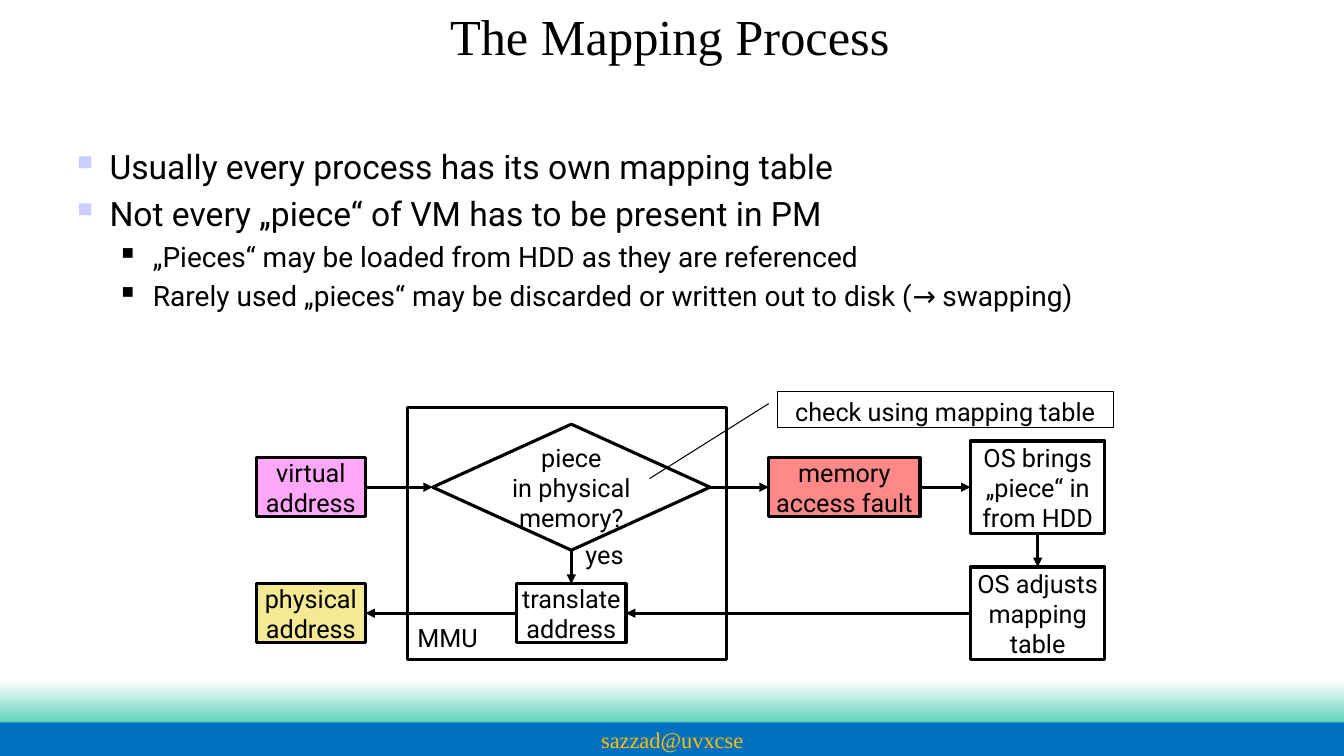
import pptx
import pptx.util
import pptx.dml.color
import pptx.enum.shapes
import pptx.enum.text
import pptx.oxml.ns
import lxml.etree

INK = {"black": "000000", "white": "FFFFFF", "pink": "FFA7F9", "red": "FF8989",
       "sand": "F4E994", "blue": "0070C0", "gold": "FFC000", "lilac": "CCCCFF",
       "mint": "60D3B8"}
TITLE = "The Mapping Process"
FOOT = "sazzad@uvxcse"
NOTES = [
    (0, "Usually every process has its own mapping table"),
    (0, "Not every „piece“ of VM has to be present in PM"),
    (1, "„Pieces“ may be loaded from HDD as they are referenced"),
    (1, "Rarely used „pieces“ may be discarded or written out to disk (→ swapping)"),
]
LEVELS = [
    {"size": 24, "left": 0.38, "hang": 0.38, "mark": "▪", "ink": "lilac", "pct": 110},
    {"size": 20, "left": 0.81, "hang": 0.31, "mark": "■", "ink": "black", "pct": 60},
]
COLS = {"start": 74, "check": 136, "fault": 201, "system": 247}
ROWS = {"top": 116, "low": 146}
BOXES = {
    "virtual": ("start", "top", 26, 14, "pink", "virtual\naddress"),
    "piece": ("check", "top", 66, 30, "white", "piece\nin physical\nmemory?"),
    "fault": ("fault", "top", 36, 14, "red", "memory\naccess fault"),
    "bring": ("system", "top", 32, 22, "white", "OS brings\n„piece“ in\nfrom HDD"),
    "real": ("start", "low", 26, 14, "sand", "physical\naddress"),
    "adjust": ("system", "low", 32, 22, "white", "OS adjusts\nmapping\ntable"),
    "shift": ("check", "low", 26, 14, "white", "translate\naddress"),
}
FLOWS = [("virtual", "piece"), ("piece", "fault"), ("fault", "bring"),
         ("bring", "adjust"), ("adjust", "shift"), ("shift", "real"),
         ("piece", "shift")]
HINT = "check using mapping table"
BENDS = [0.344, -0.025, 0.344, -0.025, 2.397, -0.38]
LABELS = [("MMU", 97, 147.1, 19.5), ("yes", 137, 127.2, 14.5)]

KIND = pptx.enum.shapes.MSO_SHAPE
ALIGN = pptx.enum.text.PP_ALIGN
ANCHOR = pptx.enum.text.MSO_ANCHOR
Pt = pptx.util.Pt
qn = pptx.oxml.ns.qn

deck = pptx.Presentation()
deck.slide_width = pptx.util.Inches(13.33)
deck.slide_height = pptx.util.Inches(7.5)
slide = deck.slides.add_slide(deck.slide_layouts[6])
shapes = slide.shapes


def grid(*cells):
    return [pptx.util.Inches(cell / 24) for cell in cells]


def tint(name):
    return pptx.dml.color.RGBColor.from_string(INK[name])


def write(shape, text, size=18, font="Roboto", ink="black", align=ALIGN.CENTER,
          anchor=ANCHOR.MIDDLE, wrap=False):
    frame = shape.text_frame
    frame.text = text
    frame.word_wrap = wrap
    frame.vertical_anchor = anchor
    for para in frame.paragraphs:
        para.alignment = align
        for run in para.runs:
            run.font.size = Pt(size)
            run.font.name = font
            run.font.color.rgb = tint(ink)


def block(kind, area, fill, width=0):
    shape = shapes.add_shape(kind, *grid(*area))
    shape.shadow.inherit = False
    shape.fill.solid()
    shape.fill.fore_color.rgb = tint(fill)
    if width:
        shape.line.color.rgb = tint("black")
        shape.line.width = Pt(width)
    else:
        shape.line.fill.background()
    return shape


def arrow(start, end):
    x1, y1, w1, h1 = BOXES[start][:4]
    x2, y2, w2, h2 = BOXES[end][:4]
    x1, x2, y1, y2 = COLS[x1], COLS[x2], ROWS[y1], ROWS[y2]
    if y1 == y2:
        way = 1 if x2 > x1 else -1
        ends = x1 + way * w1 / 2, y1, x2 - way * w2 / 2, y2
    else:
        ends = x1, y1 + h1 / 2, x2, y2 - h2 / 2
    line = shapes.add_connector(pptx.enum.shapes.MSO_CONNECTOR.STRAIGHT, *grid(*ends))
    line.line.color.rgb = tint("black")
    line.line.width = Pt(2.25)
    props = line._element.spPr
    head = lxml.etree.SubElement(props.find(qn("a:ln")), qn("a:tailEnd"))
    head.set("type", "triangle")
    lxml.etree.SubElement(props, qn("a:effectLst"))


def bullet(para, level):
    look = LEVELS[level]
    para.level = level
    para.space_before = Pt(look["size"] * 0.2)
    for run in para.runs:
        run.font.size = Pt(look["size"])
    props = para._p.get_or_add_pPr()
    props.set("marL", str(pptx.util.Inches(look["left"])))
    props.set("indent", str(-pptx.util.Inches(look["hang"])))
    hue = lxml.etree.SubElement(props, qn("a:buClr"))
    lxml.etree.SubElement(hue, qn("a:srgbClr")).set("val", INK[look["ink"]])
    lxml.etree.SubElement(props, qn("a:buSzPct")).set("val", str(look["pct"] * 1000))
    lxml.etree.SubElement(props, qn("a:buChar")).set("char", look["mark"])


band = block(KIND.RECTANGLE, (0, 162, 320, 10), "mint")
band.fill.gradient()
band.fill.gradient_angle = 270
for stop, name in zip(band.fill.gradient_stops, ("white", "mint")):
    stop.color.rgb = tint(name)
foot = block(KIND.RECTANGLE, (0, 172, 320, 8), "blue")
write(foot, FOOT, 16, "Times New Roman", "gold")

title = shapes.add_textbox(*grid(48.2, 0.5, 222.5, 16))
write(title, TITLE, 36, "Times New Roman", wrap=True)

body = shapes.add_textbox(*grid(14.6, 33.6, 288.5, 57.8))
write(body, "\n".join(text for level, text in NOTES), align=ALIGN.LEFT,
      anchor=ANCHOR.TOP, wrap=True)
for para, (level, text) in zip(body.text_frame.paragraphs, NOTES):
    bullet(para, level)

block(KIND.RECTANGLE, (97, 97, 76, 60), "white", 2.25)
for name, (col, row, wide, high, fill, text) in BOXES.items():
    kind = KIND.FLOWCHART_DECISION if name == "piece" else KIND.FLOWCHART_PROCESS
    area = COLS[col] - wide / 2, ROWS[row] - high / 2, wide, high
    write(block(kind, area, fill, 2.25), text)
for start, end in FLOWS:
    arrow(start, end)
for text, left, top, wide in LABELS:
    label = shapes.add_textbox(*grid(left, top, wide, 9.6))
    write(label, text, align=ALIGN.LEFT, anchor=ANCHOR.TOP)

hint = block(KIND.LINE_CALLOUT_2, (185, 93.1, 80, 8.7), "white", 0.75)
for spot, bend in enumerate(BENDS):
    hint.adjustments[spot] = bend
write(hint, HINT, anchor=ANCHOR.TOP, wrap=True)

deck.save("out.pptx")
